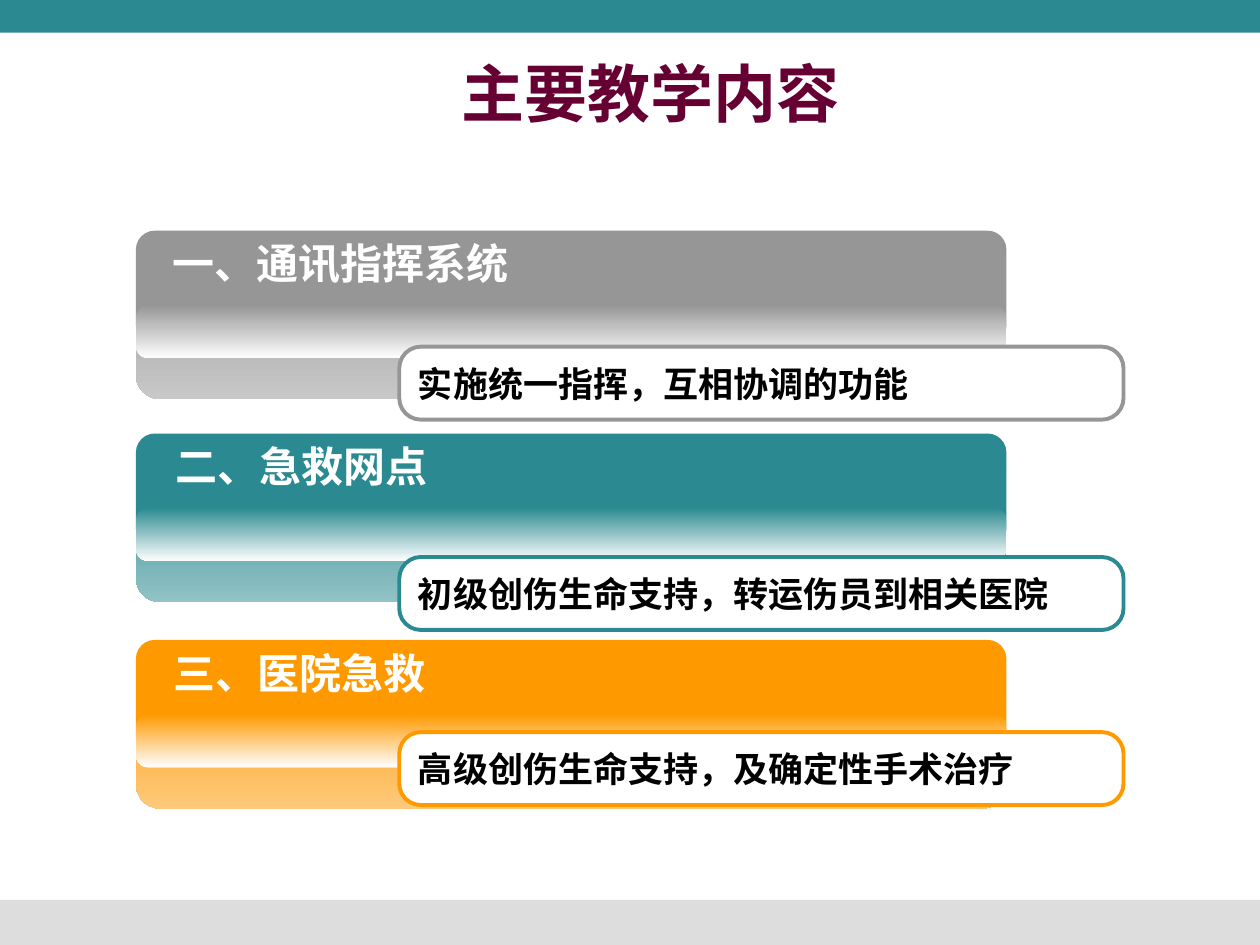
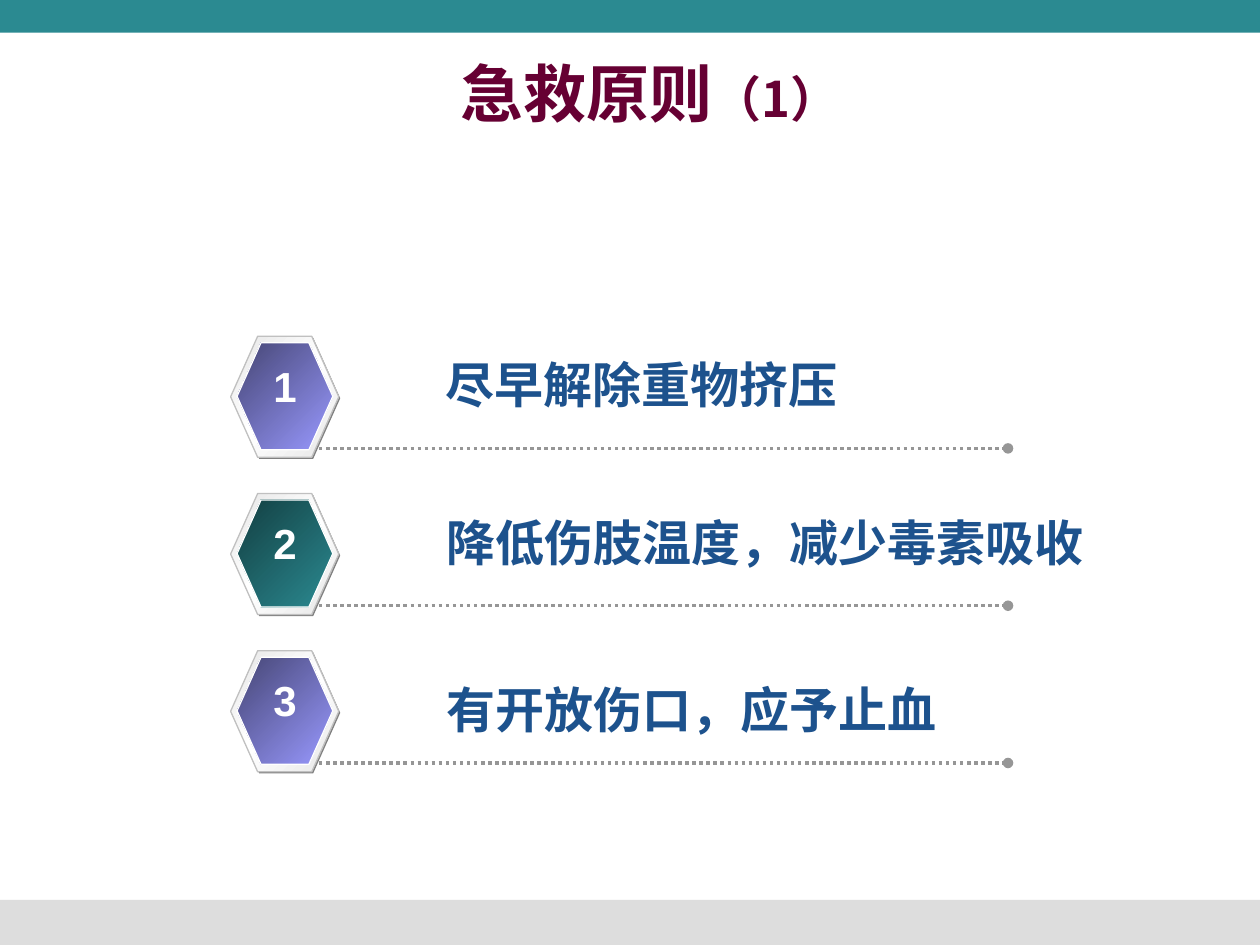
from lxml import etree
from pptx import Presentation
from pptx.dml.color import RGBColor
from pptx.enum.dml import MSO_LINE
from pptx.enum.shapes import MSO_CONNECTOR, MSO_SHAPE
from pptx.enum.text import MSO_ANCHOR, PP_ALIGN
from pptx.oxml.ns import qn
from pptx.util import Cm, Pt

RECT = MSO_SHAPE.RECTANGLE
ROUNDED = MSO_SHAPE.ROUNDED_RECTANGLE
HEXAGON = MSO_SHAPE.HEXAGON
STRAIGHT = MSO_CONNECTOR.STRAIGHT
DOTTED = MSO_LINE.ROUND_DOT
LEFT, CENTER = PP_ALIGN.LEFT, PP_ALIGN.CENTER
TOP, MIDDLE = MSO_ANCHOR.TOP, MSO_ANCHOR.MIDDLE

COLORS = {
    "teal": "2B8A91", "teal_light": "91C2C5", "teal_dark": "133F42",
    "grey": "969696", "grey_light": "C8C8C8",
    "orange": "FF9900", "orange_light": "FEC97B",
    "violet": "9999FF", "violet_dark": "464675",
    "footer": "DDDDDD", "title": "660033", "principle": "1D528D",
    "gloss": "FEFEFE", "white": "FFFFFF", "black": "000000",
    "hex_shadow": "808080", "hex_edge": "C0C0C0", "hex_rim": "E6E6E6",
}
CJK_FONT = "Noto Sans CJK SC"

CONTENTS_TITLE = [("主要教学内容", 36, "DejaVu Sans")]
SECTIONS = [
    {"heading": "一、通讯指挥系统", "detail": "实施统一指挥，互相协调的功能",
     "color": "grey", "top": 4.65, "heading_x": 3.23, "heading_w": 7.67, "detail_y": 6.99},
    {"heading": "二、急救网点", "detail": "初级创伤生命支持，转运伤员到相关医院",
     "color": "teal", "top": 8.74, "heading_x": 3.28, "heading_w": 6.55, "detail_y": 11.23},
    {"heading": "三、医院急救", "detail": "高级创伤生命支持，及确定性手术治疗",
     "color": "orange", "top": 12.9, "heading_x": 3.25, "heading_w": 6.35, "detail_y": 14.76},
]

PRINCIPLES_TITLE = [("急救原则", 36, CJK_FONT), ("（1）", 28, CJK_FONT)]
PRINCIPLES = [
    {"text": "尽早解除重物挤压", "color": "violet", "x": 8.74, "drop": 0.25, "width": 8.69},
    {"text": "降低伤肢温度，减少毒素吸收", "color": "teal", "x": 8.76, "drop": 0.25, "width": 13.77},
    {"text": "有开放伤口，应予止血", "color": "violet", "x": 8.76, "drop": 0.46, "width": 10.8},
]

PANEL_X, PANEL_W = 2.74, 17.55
HEX_X, HEX_TOP, HEX_PITCH = 4.65, 6.78, 3.17


def rgb(name):
    return RGBColor.from_string(COLORS[name])


def fill_gradient(shape, names, clockwise):
    shape.fill.gradient()
    shape.fill.gradient_angle = 360 - clockwise
    stops = next(shape._element.spPr.iter(qn("a:gsLst")))
    for stop in list(stops):
        stops.remove(stop)
    for i, name in enumerate(names):
        position = 100000 * i // (len(names) - 1)
        stop = etree.SubElement(stops, qn("a:gs"), pos=str(position))
        etree.SubElement(stop, qn("a:srgbClr"), val=COLORS[name])


def add_block(slide, kind, box, fill, line=None, weight=0.75, corner=None, angle=90):
    block = slide.shapes.add_shape(kind, *map(Cm, box))
    block.shadow.inherit = False
    if corner is not None:
        block.adjustments[0] = corner
    if isinstance(fill, str):
        block.fill.solid()
        block.fill.fore_color.rgb = rgb(fill)
    else:
        fill_gradient(block, fill, angle)
    if line:
        block.line.color.rgb = rgb(line)
        block.line.width = Pt(weight)
    else:
        block.line.fill.background()
    return block


def write(shape, runs, color, align=LEFT, anchor=TOP, shadow=False):
    frame = shape.text_frame
    frame.word_wrap = True
    frame.vertical_anchor = anchor
    paragraph = frame.paragraphs[0]
    paragraph.alignment = align
    for text, size, face in runs:
        run = paragraph.add_run()
        run.text = text
        run.font.size = Pt(size)
        run.font.bold = True
        run.font.color.rgb = rgb(color)
        properties = run.font._element
        if shadow:
            effects = etree.SubElement(properties, qn("a:effectLst"))
            cast = etree.SubElement(effects, qn("a:outerShdw"), dist="17961", dir="2700000")
            etree.SubElement(cast, qn("a:srgbClr"), val=COLORS["black"])
        run.font.name = face
        etree.SubElement(properties, qn("a:ea"), typeface=CJK_FONT)


def add_text(slide, box, runs, color, **style):
    write(slide.shapes.add_textbox(*map(Cm, box)), runs, color, **style)


def add_page(deck, title):
    slide = deck.slides.add_slide(deck.slide_layouts[6])
    add_block(slide, RECT, (0, 18.14, 25.4, 0.91), "footer")
    add_block(slide, RECT, (0, 0, 25.4, 0.66), "teal")
    add_text(slide, (1.47, 1.07, 23.27, 1.57), title, "title", align=CENTER, anchor=MIDDLE)
    return slide


def add_section(slide, section):
    color, top = section["color"], section["top"]
    layers = [
        (0.43, 2.97, (color, color + "_light"), 0.167),
        (0, 2.29, color, 0.167),
        (1.5, 1.07, (color, "gloss"), 0.237),
    ]
    for drop, height, fill, corner in layers:
        add_block(slide, ROUNDED, (PANEL_X, top + drop, PANEL_W, height), fill, corner=corner)
    add_text(slide, (section["heading_x"], top + 0.02, section["heading_w"], 1.27),
             [(section["heading"], 24, "Arial")], "white", shadow=True)
    detail = add_block(slide, ROUNDED, (8.05, section["detail_y"], 14.6, 1.47),
                       "white", color, 2.25, corner=0.295)
    write(detail, [(section["detail"], 20, "Arial")], "black", anchor=MIDDLE)


def add_dotted_rule(slide, y):
    rule = slide.shapes.add_connector(STRAIGHT, Cm(6.43), Cm(y), Cm(20.32), Cm(y))
    rule.line.color.rgb = rgb("grey")
    rule.line.width = Pt(2)
    rule.line.dash_style = DOTTED
    etree.SubElement(rule.line._get_or_add_ln(), qn("a:tailEnd"), type="oval")
    etree.SubElement(rule._element.spPr, qn("a:effectLst"))


def add_principle(slide, number, principle):
    top = HEX_TOP + (number - 1) * HEX_PITCH
    color = principle["color"]
    layers = [
        (0.03, 2.18, 2.44, "hex_shadow", None),
        (0, 2.18, 2.44, ("hex_rim", "white", "hex_rim"), "hex_edge"),
        (0.13, 1.93, 2.16, (color, color + "_dark"), "white"),
    ]
    for shift, width, height, fill, line in layers:
        add_block(slide, HEXAGON, (HEX_X + shift, top + shift, width, height),
                  fill, line, angle=225)
    add_dotted_rule(slide, top + 2.26)
    add_text(slide, (principle["x"], top + principle["drop"], principle["width"], 1.45),
             [(principle["text"], 28, "Arial")], "principle")
    add_text(slide, (5.26, top + 0.36, 0.97, 1.27),
             [(str(number), 24, "Arial")], "white", align=CENTER)


def main():
    deck = Presentation()
    deck.slide_width, deck.slide_height = Cm(25.4), Cm(19.05)
    contents = add_page(deck, CONTENTS_TITLE)
    for section in SECTIONS:
        add_section(contents, section)
    principles = add_page(deck, PRINCIPLES_TITLE)
    for number, principle in enumerate(PRINCIPLES, 1):
        add_principle(principles, number, principle)
    deck.save("out.pptx")


if __name__ == "__main__":
    main()
